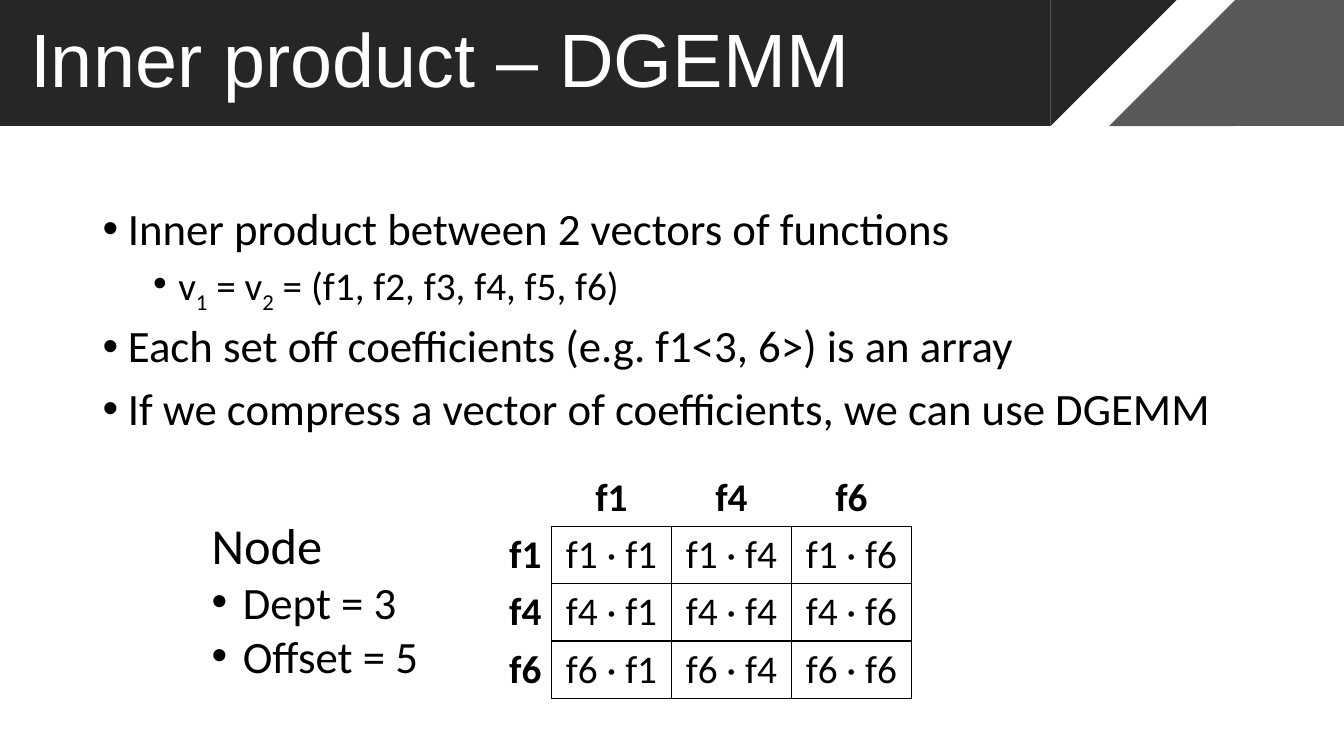
from lxml import etree
from pptx import Presentation
from pptx.dml.color import RGBColor
from pptx.enum.shapes import MSO_SHAPE
from pptx.enum.text import MSO_ANCHOR, PP_ALIGN
from pptx.oxml.ns import qn
from pptx.util import Pt

EMU_PER_PX = 9144
RECTANGLE = MSO_SHAPE.RECTANGLE
TRIANGLE = MSO_SHAPE.ISOSCELES_TRIANGLE
TOP, MIDDLE = MSO_ANCHOR.TOP, MSO_ANCHOR.MIDDLE
CENTER, RIGHT = PP_ALIGN.CENTER, PP_ALIGN.RIGHT

BLACK, WHITE = "000000", "FFFFFF"
DARK, GRAY = "262626", "595959"
BODY_FONT, TITLE_FONT = "Calibri", "Arial"


def px(length):
    return length * EMU_PER_PX


def color(value):
    return RGBColor.from_string(value)


class SlideBuilder:
    def __init__(self, presentation):
        self.slide = presentation.slides.add_slide(presentation.slide_layouts[6])

    def style(self, paragraph, size, font=BODY_FONT, ink=BLACK, bold=False):
        paragraph.font.name = font
        paragraph.font.size = Pt(size)
        paragraph.font.color.rgb = color(ink)
        paragraph.font.bold = bold

    def shape(self, kind, left, top, width, height, fill, rotation=0):
        shape = self.slide.shapes.add_shape(kind, px(left), px(top), px(width), px(height))
        shape.shadow.inherit = False
        shape.fill.solid()
        shape.fill.fore_color.rgb = color(fill)
        shape.line.fill.background()
        shape.rotation = rotation
        if kind == TRIANGLE:
            shape.adjustments[0] = 1

    def text_box(self, left, top, width, height, anchor=TOP, wrap=True):
        frame = self.slide.shapes.add_textbox(px(left), px(top), px(width), px(height)).text_frame
        frame.word_wrap = wrap
        frame.vertical_anchor = anchor
        return frame

    def paragraph(self, frame, text, size, font=BODY_FONT, ink=BLACK,
                  before=0, spacing=1.0, indent=0, hang=0):
        """Add a line; "_" sets the next character as subscript, hang adds a bullet."""
        first = frame.paragraphs[0]
        paragraph = frame.add_paragraph() if first.runs else first
        self.style(paragraph, size, font, ink)
        paragraph.space_before = Pt(before)
        paragraph.line_spacing = spacing
        plain, *rest = text.split("_")
        paragraph.add_run().text = plain
        for part in rest:
            subscript = paragraph.add_run()
            subscript.text = part[0]
            subscript.font._element.set("baseline", "-25000")
            paragraph.add_run().text = part[1:]
        if hang:
            self.bullet(paragraph, indent, hang)

    def bullet(self, paragraph, indent, hang):
        properties = paragraph._p.get_or_add_pPr()
        properties.set("marL", str(px(indent)))
        properties.set("indent", str(px(-hang)))
        font = etree.Element(qn("a:buFont"), typeface="Arial")
        mark = etree.Element(qn("a:buChar"), char="•")
        defaults = properties.find(qn("a:defRPr"))
        defaults.addprevious(font)
        defaults.addprevious(mark)

    def border(self, cell, sides):
        """Draw the named sides (L, R, T, B) in black and clear the others."""
        properties = cell._tc.get_or_add_tcPr()
        for position, side in enumerate("LRTB"):
            line = etree.Element(qn(f"a:ln{side}"), w=str(Pt(1)))
            if side in sides:
                fill = etree.SubElement(line, qn("a:solidFill"))
                etree.SubElement(fill, qn("a:srgbClr"), val=BLACK)
            else:
                etree.SubElement(line, qn("a:noFill"))
            properties.insert(position, line)

    def product_table(self, left, top, column_width, row_height, names, size):
        """Table of the products of all pairs of names, with headings on two sides."""
        headings = ["", *names]
        count = len(headings)
        table = self.slide.shapes.add_table(
            count, count, px(left), px(top),
            px(column_width * count), px(row_height * count)).table
        table.first_row = table.horz_banding = False
        for column in table.columns:
            column.width = px(column_width)
        for i, row_name in enumerate(headings):
            for j, column_name in enumerate(headings):
                cell = table.cell(i, j)
                inner = i > 0 and j > 0
                cell.text = f"{row_name} · {column_name}" if inner else row_name + column_name
                paragraph = cell.text_frame.paragraphs[0]
                paragraph.alignment = CENTER if j else RIGHT
                self.style(paragraph, size, bold=not inner)
                cell.fill.solid()
                cell.fill.fore_color.rgb = color(WHITE)
                self.border(cell, "LRTB" if inner else "B" if j else "R" if i else "")


def main():
    presentation = Presentation()
    presentation.slide_width, presentation.slide_height = px(1333), px(750)
    builder = SlideBuilder(presentation)

    builder.shape(RECTANGLE, 0, 0, 1042, 125, DARK)
    builder.shape(RECTANGLE, 1225, 0, 108, 125, GRAY)
    builder.shape(TRIANGLE, 1042, 0, 125, 125, DARK, rotation=180)
    builder.shape(TRIANGLE, 1100, 0, 125, 125, GRAY)

    title = builder.text_box(20, 0, 1080, 125, MIDDLE)
    builder.paragraph(title, "Inner product – DGEMM", 54, TITLE_FONT, WHITE, spacing=0.9)

    body = builder.text_box(92, 200, 1150, 476)
    for level, text in (
        (0, "Inner product between 2 vectors of functions"),
        (1, "v_1 = v_2 = (f1, f2, f3, f4, f5, f6)"),
        (0, "Each set off coefficients (e.g. f1<3, 6>) is an array"),
        (0, "If we compress a vector of coefficients, we can use DGEMM"),
    ):
        builder.paragraph(body, text, 32 - 4 * level, before=10 - 5 * level,
                          spacing=0.9, indent=25 + 50 * level, hang=25)

    builder.product_table(428, 465, 119, 57, ["f1", "f4", "f6"], 28)

    node = builder.text_box(200, 505, 228, 178, wrap=False)
    builder.paragraph(node, "Node", 36)
    for text in ("Dept = 3", "Offset = 5"):
        builder.paragraph(node, text, 32, indent=31, hang=31)

    presentation.save("out.pptx")


if __name__ == "__main__":
    main()
